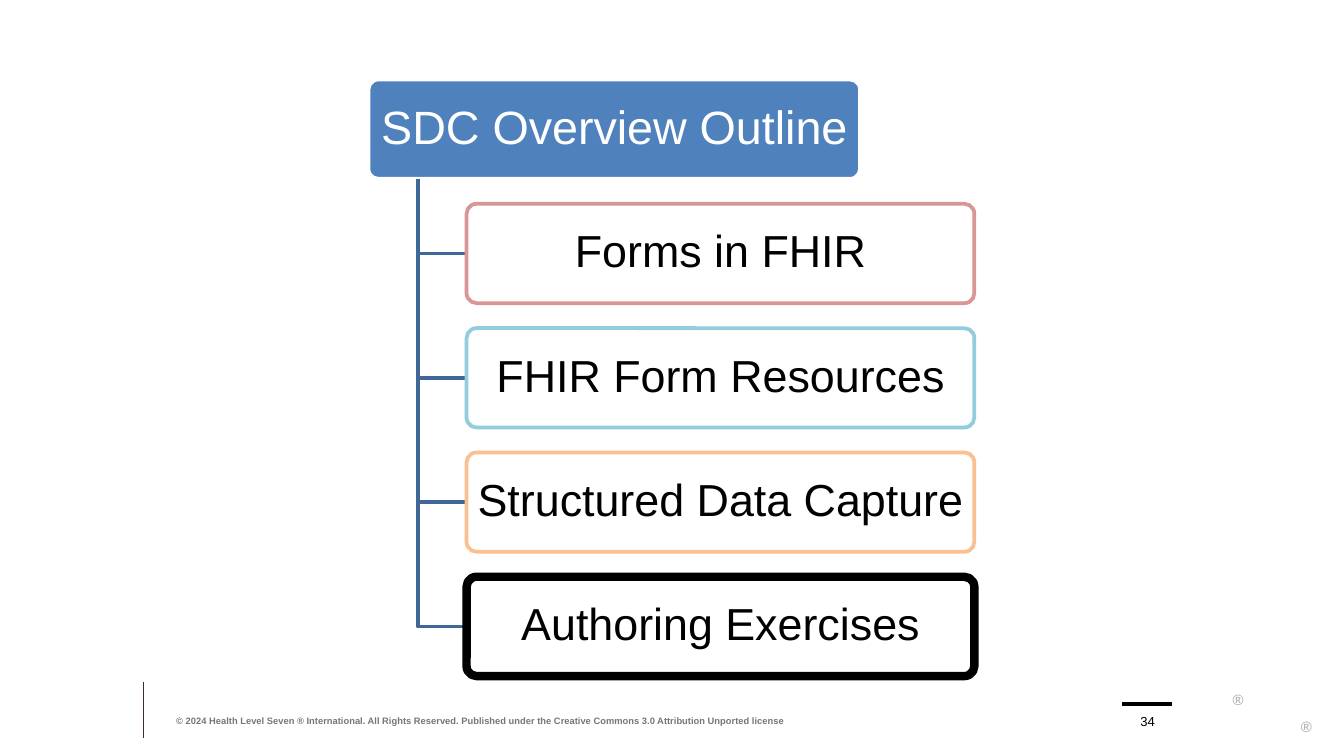
from lxml import etree
from pptx import Presentation
from pptx.dml.color import RGBColor
from pptx.enum.shapes import MSO_CONNECTOR, MSO_SHAPE
from pptx.enum.text import MSO_ANCHOR, MSO_AUTO_SIZE, PP_ALIGN
from pptx.oxml.ns import qn
from pptx.util import Pt

ROUNDED = MSO_SHAPE.ROUNDED_RECTANGLE
STRAIGHT = MSO_CONNECTOR.STRAIGHT
TOP, MIDDLE, BOTTOM = MSO_ANCHOR.TOP, MSO_ANCHOR.MIDDLE, MSO_ANCHOR.BOTTOM
LEFT, CENTER = PP_ALIGN.LEFT, PP_ALIGN.CENTER
GROW = MSO_AUTO_SIZE.SHAPE_TO_FIT_TEXT

BOX_HEIGHT = 53.2
TITLE_LEFT, TITLE_TOP, TITLE_WIDTH = 197.4, 42.6, 263.4
TOPIC_LEFT, TOPIC_WIDTH = 250, 272
TOPIC_PITCH = 66.6
TRUNK_X = 223.8
TOPICS = [
    ("Forms in FHIR", "D99694", 2),
    ("FHIR Form Resources", "93CDDD", 2),
    ("Structured Data Capture", "FAC090", 2),
    ("Authoring Exercises", "000000", 4.5),
]


def color(hex_code):
    return RGBColor.from_string(hex_code)


def set_line(line, hex_code, width):
    line.color.rgb = color(hex_code)
    line.width = Pt(width)


def write(frame, text, size, hex_code, align=LEFT, anchor=TOP, inset=(0, 0), bold=False):
    frame.text = text
    frame.vertical_anchor = anchor
    frame.margin_left = frame.margin_right = Pt(inset[0])
    frame.margin_top = frame.margin_bottom = Pt(inset[1])
    paragraph = frame.paragraphs[0]
    paragraph.alignment = align
    font = paragraph.runs[0].font
    font.name = "Arial"
    font.size = Pt(size)
    font.bold = bold
    font.color.rgb = color(hex_code)


def add_label(slide, text, left, top, width, height, size, hex_code, **style):
    frame = slide.shapes.add_textbox(Pt(left), Pt(top), Pt(width), Pt(height)).text_frame
    frame.word_wrap = True
    write(frame, text, size, hex_code, **style)
    return frame


def add_trademark(slide, left, top):
    frame = add_label(slide, "®", left, top, 8, 6.5, 8, "A6A6A6", inset=(7.2, 3.6))
    frame.word_wrap = False
    frame.auto_size = GROW


def add_rule(slide, x1, y1, x2, y2, hex_code, width):
    rule = slide.shapes.add_connector(STRAIGHT, Pt(x1), Pt(y1), Pt(x2), Pt(y2))
    set_line(rule.line, hex_code, width)
    etree.SubElement(rule._element.spPr, qn("a:effectLst"))


def add_box(slide, text, left, top, width, fill, outline, outline_width, size, text_color):
    box = slide.shapes.add_shape(ROUNDED, Pt(left), Pt(top), Pt(width), Pt(BOX_HEIGHT))
    box.shadow.inherit = False
    box.adjustments[0] = 0.1
    box.fill.solid()
    box.fill.fore_color.rgb = color(fill)
    set_line(box.line, outline, outline_width)
    write(box.text_frame, text, size, text_color, CENTER, MIDDLE, (3.6, 2.2))
    box.text_frame.word_wrap = False
    box.text_frame.paragraphs[0].line_spacing = 0.9
    return box


def make_translucent(box, percent):
    fill_color = box._element.spPr.find(qn("a:solidFill"))[0]
    etree.SubElement(fill_color, qn("a:alpha"), val=str(percent * 1000))


def add_branch(slide, y):
    trunk_top = TITLE_TOP + BOX_HEIGHT
    builder = slide.shapes.build_freeform(Pt(TRUNK_X), Pt(trunk_top))
    builder.add_line_segments(
        [(Pt(TRUNK_X), Pt(y)), (Pt(TOPIC_LEFT), Pt(y))], close=False
    )
    branch = builder.convert_to_shape()
    branch.shadow.inherit = False
    branch.fill.background()
    set_line(branch.line, "3F6797", 2)


def add_outline(slide):
    add_box(slide, "SDC Overview Outline", TITLE_LEFT, TITLE_TOP, TITLE_WIDTH,
            "4F81BD", "FFFFFF", 2, 25, "FFFFFF")
    for row, (topic, outline, outline_width) in enumerate(TOPICS, 1):
        top = TITLE_TOP + row * TOPIC_PITCH
        add_branch(slide, top + BOX_HEIGHT / 2)
        box = add_box(slide, topic, TOPIC_LEFT, top, TOPIC_WIDTH,
                      "FFFFFF", outline, outline_width, 24, "000000")
        make_translucent(box, 90)


def add_footer(slide):
    add_rule(slide, 77, 365.2, 77, 395.4, "3D3029", 0.5)
    add_trademark(slide, 659.5, 367.2)
    add_trademark(slide, 696, 381.6)
    add_rule(slide, 601.2, 377, 628, 377, "000000", 2)
    add_label(slide, "© 2024 Health Level Seven ® International. All Rights Reserved. "
              "Published under the Creative Commons 3.0 Attribution Unported license",
              94.4, 377.2, 356.4, 12.2, 5, "747679", anchor=BOTTOM, bold=True)
    add_label(slide, "34", 604, 377.2, 21.6, 13.6, 7, "000000",
              align=CENTER, anchor=BOTTOM)


def main():
    deck = Presentation()
    deck.slide_width, deck.slide_height = Pt(720), Pt(405)
    slide = deck.slides.add_slide(deck.slide_layouts[6])
    add_footer(slide)
    add_outline(slide)
    deck.save("out.pptx")


if __name__ == "__main__":
    main()
